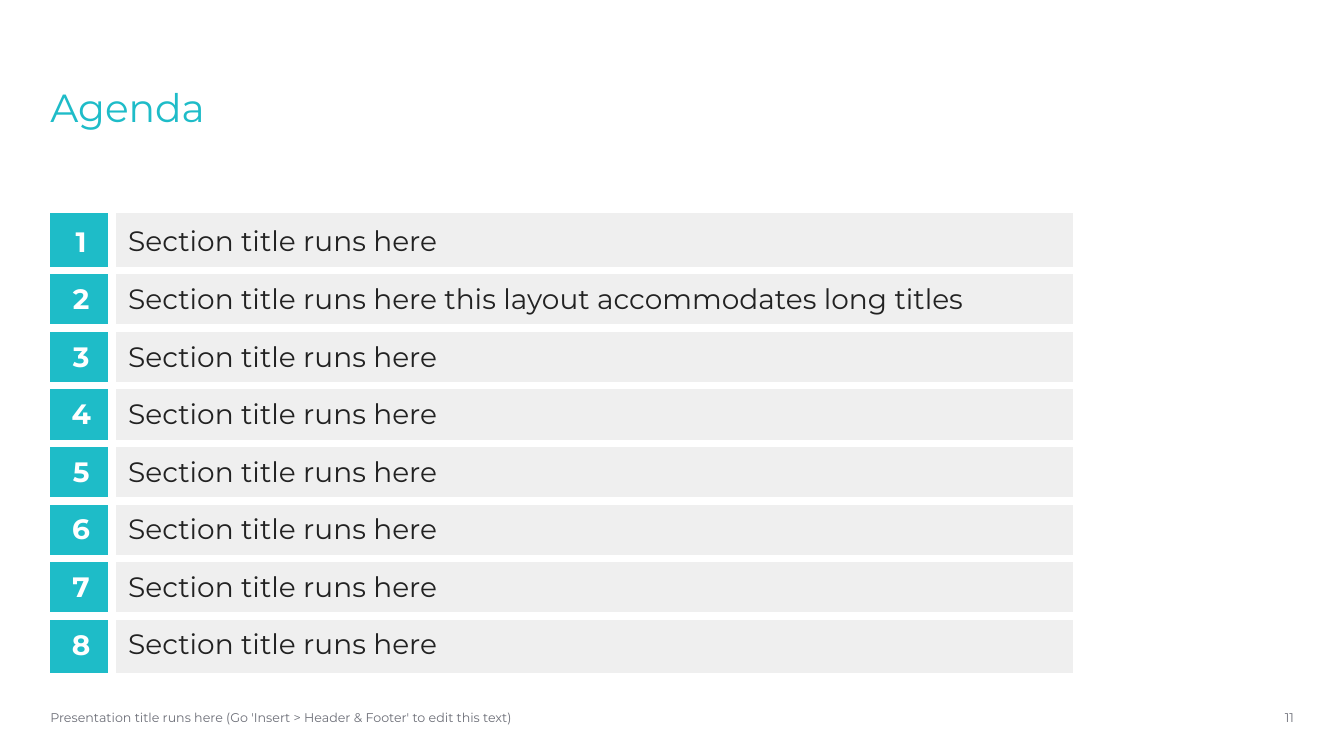
import pptx
import pptx.dml.color
import pptx.enum.text
import pptx.oxml
import pptx.oxml.ns
import pptx.util
from pptx.util import Cm

ALIGN = pptx.enum.text.PP_ALIGN
ANCHOR = pptx.enum.text.MSO_ANCHOR
TEAL, WHITE, PALE_GREY = "1EBCC8", "FFFFFF", "EFEFEF"
INK, FOOTER_GREY = "222222", "6D6F78"


def color(hex_string):
    return pptx.dml.color.RGBColor.from_string(hex_string)


def write(paragraph, text, size, hex_string, align=ALIGN.LEFT, bold=False):
    paragraph.text = text
    paragraph.alignment = align
    paragraph.font.name = "Montserrat"
    paragraph.font.size = pptx.util.Pt(size)
    paragraph.font.bold = bold
    paragraph.font.color.rgb = color(hex_string)


deck = pptx.Presentation()
deck.slide_width, deck.slide_height = Cm(33.87), Cm(19.05)
slide = deck.slides.add_slide(deck.slide_layouts[6])

footer = "Presentation title runs here (Go 'Insert > Header & Footer' to edit this text)"
for text, left, top, width, height, size, ink, align, anchor, spacing in [
    ("Agenda", 1.27, 2.24, 29.31, 3.15, 28, TEAL, ALIGN.LEFT, ANCHOR.TOP, 0.9),
    (footer, 1.27, 17.75, 23.14, 0.64, 9, FOOTER_GREY, ALIGN.LEFT, ANCHOR.MIDDLE, 1.0),
    ("11", 30.58, 17.75, 2.03, 0.64, 9, FOOTER_GREY, ALIGN.RIGHT, ANCHOR.MIDDLE, 1.0),
]:
    frame = slide.shapes.add_textbox(Cm(left), Cm(top), Cm(width), Cm(height)).text_frame
    frame.word_wrap = True
    frame.margin_left = frame.margin_right = frame.margin_top = frame.margin_bottom = 0
    frame.vertical_anchor = anchor
    write(frame.paragraphs[0], text, size, ink, align)
    frame.paragraphs[0].line_spacing = spacing

sections = ["Section title runs here"] * 8
sections[1] += " this layout accommodates long titles"
last = len(sections) - 1

agenda = slide.shapes.add_table(
    len(sections), 2, Cm(1.27), Cm(5.37), Cm(25.78), Cm(1.45 * len(sections))
).table
agenda.first_row = agenda.horz_banding = False
agenda.columns[0].width, agenda.columns[1].width = Cm(1.55), Cm(24.23)

for row, section in enumerate(sections):
    entries = [
        (str(row + 1), TEAL, WHITE, ALIGN.CENTER, True, 0.3),
        (section, PALE_GREY, INK, ALIGN.LEFT, False, 0.2),
    ]
    for column, (text, fill, ink, align, bold, padding) in enumerate(entries):
        cell = agenda.cell(row, column)
        cell.margin_left = cell.margin_right = Cm(0.41)
        cell.margin_top = cell.margin_bottom = Cm(padding)
        cell.vertical_anchor = ANCHOR.MIDDLE
        write(cell.text_frame.paragraphs[0], text, 20, ink, align, bold)

        inner_edges = {"L": column == 1, "R": column == 0, "T": row > 0, "B": row < last}
        for side, inner in inner_edges.items():
            stroke = (
                f'<a:solidFill><a:srgbClr val="{WHITE}"/></a:solidFill>'
                if inner
                else "<a:noFill/>"
            )
            cell._tc.get_or_add_tcPr().append(
                pptx.oxml.parse_xml(
                    f'<a:ln{side} {pptx.oxml.ns.nsdecls("a")} w="{pptx.util.Pt(6)}">'
                    f"{stroke}</a:ln{side}>"
                )
            )
        cell.fill.solid()
        cell.fill.fore_color.rgb = color(fill)

deck.save("out.pptx")
